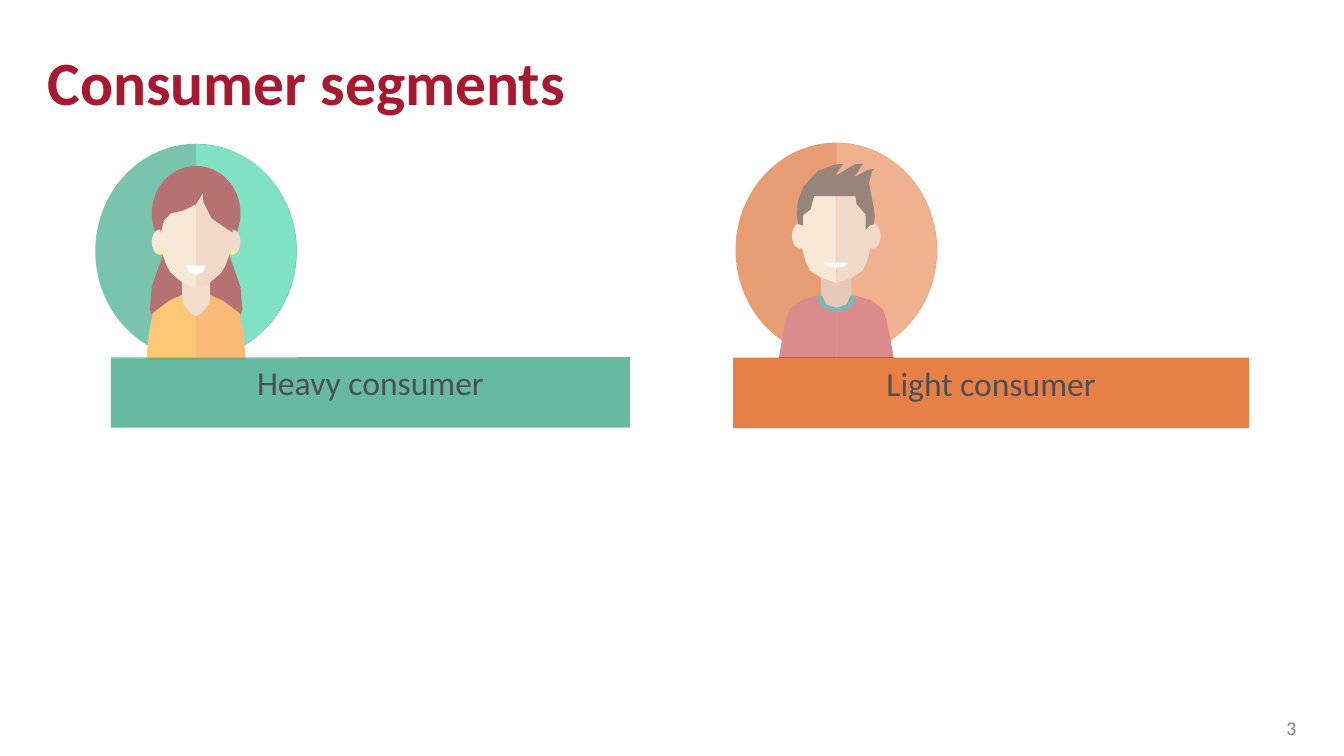
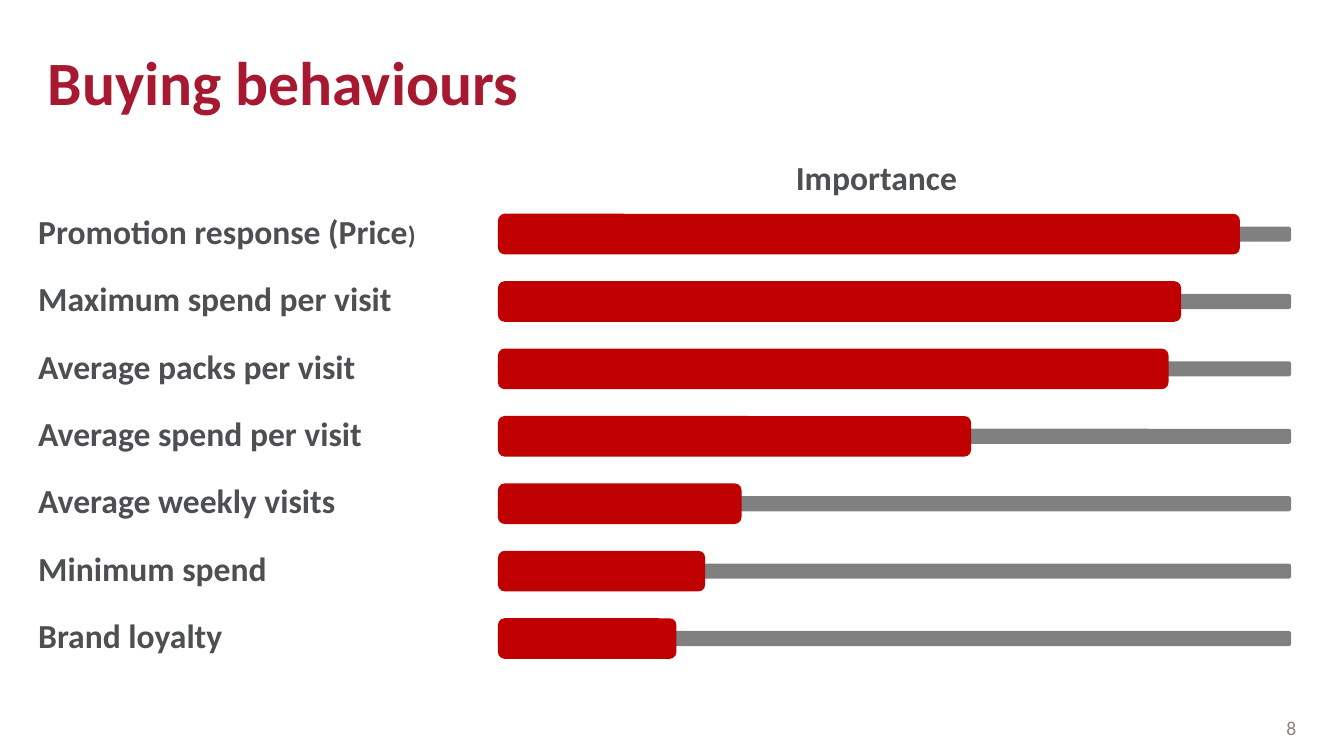
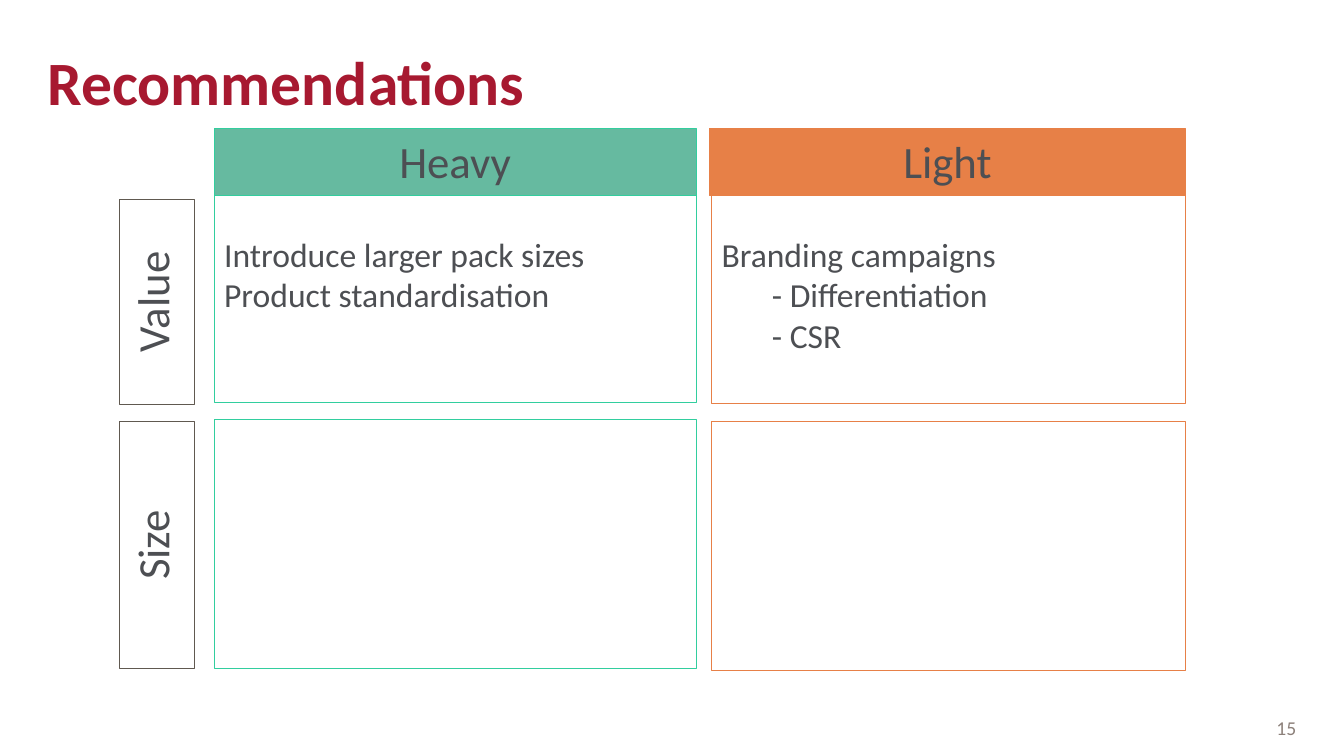
from functools import partial
from math import dist

from lxml.etree import SubElement
from pptx import Presentation
from pptx.dml.color import RGBColor
from pptx.enum.shapes import MSO_SHAPE
from pptx.enum.text import MSO_ANCHOR, PP_ALIGN
from pptx.oxml.ns import qn
from pptx.util import Pt

# Shared style
FONT = "Calibri"
TITLE_RED, TEXT_GREY, NUMBER_GREY = "A71930", "4D4F53", "8D817B"
GREEN, MINT, ORANGE, BROWN, WHITE = "269D78", "32CE9E", "E78047", "605950", "FFFFFF"
BAR_RED, TRACK_GREY = "C00000", "808080"
SKIN_LIGHT, SKIN_DARK = "F2D8BC", "E9C0A7"
UNIT = 0.72  # avatar grid: a hundredth of an inch, in points
BOTH = (-1, 1)


def rgb(code):
    return RGBColor.from_string(code)


def paint(shape, fill=None, line=None, opacity=100):
    shape.shadow.inherit = False
    if fill:
        shape.fill.solid()
        shape.fill.fore_color.rgb = rgb(fill)
        if opacity < 100:
            colour = shape.fill._xPr.find(qn("a:solidFill"))[0]
            SubElement(colour, qn("a:alpha")).set("val", str(opacity * 1000))
    else:
        shape.fill.background()
    if line:
        shape.line.color.rgb = rgb(line)
        shape.line.width = Pt(0.75)
    else:
        shape.line.fill.background()
    return shape


def add_block(slide, box, fill=None, line=None, opacity=100, kind=MSO_SHAPE.RECTANGLE):
    return paint(slide.shapes.add_shape(kind, *map(Pt, box)), fill, line, opacity)


def write(shape, *lines, size=24, color=TEXT_GREY, bold=False, align=PP_ALIGN.LEFT,
          anchor=MSO_ANCHOR.TOP, insets=(7.2, 3.6, 7.2, 3.6), indent=0, vert=None):
    """Each line is a string or a list of (text, size) runs; indent moves lines after the first."""
    frame = shape.text_frame
    frame.word_wrap = True
    frame.vertical_anchor = anchor
    frame.margin_left, frame.margin_top, frame.margin_right, frame.margin_bottom = map(Pt, insets)
    if vert:
        frame._txBody.bodyPr.set("vert", vert)
    for i, line in enumerate(lines):
        paragraph = frame.add_paragraph() if i else frame.paragraphs[0]
        paragraph.alignment = align
        if i and indent:
            paragraph._p.get_or_add_pPr().set("marL", str(Pt(indent)))
        for text, run_size in [(line, size)] if isinstance(line, str) else line:
            run = paragraph.add_run()
            run.text = text
            run.font.name, run.font.size, run.font.bold = FONT, Pt(run_size), bold
            run.font.color.rgb = rgb(color)


def add_text(slide, box, *lines, **style):
    write(slide.shapes.add_textbox(*map(Pt, box)), *lines, **style)


def new_slide(deck, title, number):
    slide = deck.slides.add_slide(deck.slide_layouts[6])
    flush = {"anchor": MSO_ANCHOR.BOTTOM, "insets": (0, 0, 0, 0)}
    add_text(slide, (34, 15, 892, 69.2), title, size=44, color=TITLE_RED, bold=True, **flush)
    add_text(slide, (889, 512, 37, 16.4), str(number), size=14, color=NUMBER_GREY,
             align=PP_ALIGN.RIGHT, **flush)
    return slide


# Avatars: coordinates are grid units from the vertical axis and the top
def trace(steps):
    """Yield the points of lines (x, y) and cubic curves (x1, y1, x2, y2, x, y)."""
    here = steps[0]
    yield here
    for step in steps[1:]:
        if len(step) == 6:
            knots = (here, step[:2], step[2:4], step[4:])
            pieces = min(7, max(2, round(dist(here, step[4:]) / 14)))
            for i in range(1, pieces):
                t = i / pieces
                weights = ((1 - t) ** 3, 3 * t * (1 - t) ** 2, 3 * t * t * (1 - t), t ** 3)
                yield tuple(sum(w * k[axis] for w, k in zip(weights, knots)) for axis in (0, 1))
        here = step[-2:]
        yield here


def draw_outline(slide, axis, top, fill, *steps, sides=(1,)):
    for side in sides:
        points = [(Pt(axis + side * x * UNIT), Pt(top + y * UNIT)) for x, y in trace(steps)]
        builder = slide.shapes.build_freeform(*points[0], scale=1.0)
        builder.add_line_segments(points[1:], close=True)
        paint(builder.convert_to_shape(), fill)


def draw_preset(slide, axis, top, fill, x, y, width, height, kind=MSO_SHAPE.OVAL):
    box = (axis + x * UNIT, top + y * UNIT, width * UNIT, height * UNIT)
    add_block(slide, box, fill, kind=kind)


def draw_backdrop(oval, outline, left_color, right_color):
    oval(left_color, -100, 0, 200, 213)
    outline(right_color, (100, 106), (100, 47, 55, 0, 0, 0), (0, 213), (55, 213, 100, 165, 100, 106))


def draw_woman(oval, outline):
    hair = "88171A"
    draw_backdrop(oval, outline, GREEN, MINT)
    # Hair and neck
    outline(hair, (0, 185), (36, 185), (36, 185, 53, 168, 44, 142),
            (36, 117, 29, 107, 28, 80), (0, 80), sides=BOTH)
    oval(hair, -44, 22, 88, 94)
    outline("EAC8AE", (14, 169), (0, 214), (-14, 169), (-14, 135), (14, 135))
    # Face and ears
    for side, skin in zip(BOTH, (SKIN_LIGHT, SKIN_DARK)):
        outline(skin, (0, 40), (14, 40, 36, 49, 36, 89), (36, 112, 28, 123, 25, 128),
                (22, 132, 7, 144, 0, 144), sides=(side,))
        oval(skin, side * 36 - 8, 85, 16, 25)
    # Fringe and earrings
    outline(hair, (-3, 30), (-3, 30, -27, 32, -34, 65), (-37, 67, -43, 77, -35, 88),
            (-34, 79, -31, 72, -25, 69), (-15, 65, -11, 69, 0, 60),
            (7, 54, 9, 43, 8, 37), (5, 30, -2, 30, -3, 30))
    outline(hair, (7, 39), (7, 39, -2, 73, 36, 88), (45, 56, 28, 36, 7, 39))
    outline("FCEE23", (36, 105), (34, 107), (36, 110), (39, 107), sides=BOTH)
    # Blouse and mouth
    for side, cloth in zip(BOTH, ("F7A51F", "F78E21")):
        outline(cloth, (0, 214), (0, 171), (0, 171, 11, 168, 13, 159), (14, 150),
                (14, 150, 38, 159, 43, 168), (48, 182, 49, 214, 49, 214), sides=(side,))
    outline(WHITE, (0, 130), (5, 130, 10, 126, 10, 121), (-10, 121), (-10, 126, -6, 130, 0, 130))


def draw_man(oval, outline):
    draw_backdrop(oval, outline, "D75F1C", ORANGE)
    # Neck and shirt
    oval("D9A88C", -15, 133, 30, 35, kind=MSO_SHAPE.RECTANGLE)
    outline("C74244", (14, 152), (20, 152), (29, 154, 39, 156, 46, 165), (50, 170, 57, 214, 57, 214),
            (0, 214), (0, 164), (8, 164, 14, 159, 14, 152), sides=BOTH)
    # Face, ears and mouth
    for side, skin in zip(BOTH, (SKIN_LIGHT, SKIN_DARK)):
        outline(skin, (0, 35), (14, 35, 36, 44, 36, 84), (36, 108, 29, 123, 26, 127),
                (23, 131, 7, 139, 0, 139), sides=(side,))
        oval(skin, side * 36 - 8, 80, 16, 25)
    outline(WHITE, (0, 124), (7, 124, 12, 122, 12, 119), (-12, 119), (-12, 122, -7, 124, 0, 124))
    # Hair
    outline("563929", (29, 87), (31, 83, 34, 81, 37, 81), (38, 76, 39, 70, 37, 64),
            (26, 32, 38, 26, 38, 26), (38, 26, 27, 26, 18, 34), (24, 23, 27, 21, 27, 21),
            (27, 21, 14, 18, -1, 33), (3, 25, 7, 21, 7, 21), (7, 21, -23, 21, -33, 44),
            (-40, 57, -40, 71, -38, 81), (-33, 82), (-33, 72), (-28, 69, -22, 66, -22, 53),
            (19, 53), (19, 53, 18, 68, 29, 71))
    # Collar
    outline("0F958D", (0, 168), (11, 168, 20, 161, 20, 152), (15, 152), (15, 159, 8, 164, 0, 164),
            (-8, 164, -15, 159, -15, 152), (-20, 152), (-20, 161, -11, 168, 0, 168))


# Consumer segments
def add_segment(slide, box, axis, label, fill, opacity, draw_avatar, veil_height):
    left, top, width, height = box
    banner_height = 50.4
    draw_avatar(partial(draw_preset, slide, axis, top), partial(draw_outline, slide, axis, top))
    banner = add_block(slide, (left, top + height - banner_height, width, banner_height),
                       fill, opacity=opacity)
    write(banner, label, align=PP_ALIGN.CENTER)
    add_block(slide, (axis - 72.4, top - 0.4, 144.8, veil_height), WHITE, opacity=39)


def build_segments(deck):
    slide = new_slide(deck, "Consumer segments", 3)
    add_segment(slide, (79.2, 102.7, 370.8, 202.8), 140.1, "Heavy consumer", GREEN, 70, draw_woman, 153.8)
    add_segment(slide, (523.6, 101.9, 368.6, 204), 597.4, "Light consumer", ORANGE, 100, draw_man, 153.4)


# Buying behaviours
def add_importance_row(slide, left, top, label, importance):
    track_left, track_width, bar_height, track_height = left + 347.8, 566.6, 29, 10.8
    bar_top = top + 11.6
    rounded = MSO_SHAPE.ROUNDED_RECTANGLE
    track_top = bar_top + (bar_height - track_height) / 2
    add_block(slide, (track_left, track_top, track_width, track_height), TRACK_GREY, kind=rounded)
    add_block(slide, (track_left, bar_top, importance, bar_height), BAR_RED, kind=rounded)
    add_text(slide, (left, top, 378, 48), label, bold=True, insets=(19.4, 9.4, 19.4, 9.4))


def build_behaviours(deck):
    slide = new_slide(deck, "Buying behaviours", 8)
    add_text(slide, (465, 102.7, 322, 48), "Importance", bold=True, align=PP_ALIGN.CENTER,
             insets=(19.4, 9.4, 19.4, 9.4))
    behaviours = [  # label and bar length
        ([("Promotion response (Price", 24), (")", 18)], 530),
        ("Maximum spend per visit", 488),
        ("Average packs per visit", 479),
        ("Average spend per visit", 338),
        ("Average weekly visits", 174),
        ("Minimum spend", 148),
        ("Brand loyalty", 127.5),
    ]
    for i, (label, importance) in enumerate(behaviours):
        add_importance_row(slide, 7.9, 141.1 + 48.15 * i, label, importance)


# Recommendations
def add_column(slide, box, header, header_left, fill, opacity, line, advice, value_height):
    left, top, width, height = box
    header_height, size_height = 47.7, 177.8
    right = left + width
    heading = add_block(slide, (header_left, top, right - header_left, header_height),
                        fill, line, opacity)
    write(heading, header, size=32, align=PP_ALIGN.CENTER)
    value_cell = add_block(slide, (left, top + header_height, width, value_height), line=line)
    write(value_cell, *advice, insets=(7.2, 27.5, 7.2, 3.6), indent=36 if len(advice) > 2 else 0)
    add_block(slide, (left, top + height - size_height, width, size_height), line=line)


def add_row_label(slide, box, label):
    write(add_block(slide, box, line=BROWN), label, size=32, align=PP_ALIGN.CENTER, vert="vert270")


def build_recommendations(deck):
    slide = new_slide(deck, "Recommendations", 15)
    add_column(slide, (508.3, 92, 338.5, 386.8), "Light", 506.8, ORANGE, 100, ORANGE,
               ("Branding campaigns", "- Differentiation", "- CSR"), 148.8)
    add_column(slide, (153, 92, 344.2, 385.4), "Heavy", 153, GREEN, 70, MINT,
               ("Introduce larger pack sizes", "Product standardisation"), 147.6)
    add_row_label(slide, (85.4, 142.4, 53.5, 146.4), "Value")
    add_row_label(slide, (85.4, 301, 53.5, 176.4), "Size")


def main():
    deck = Presentation()
    deck.slide_width, deck.slide_height = Pt(960), Pt(540)
    for build in (build_segments, build_behaviours, build_recommendations):
        build(deck)
    deck.save("out.pptx")


if __name__ == "__main__":
    main()
